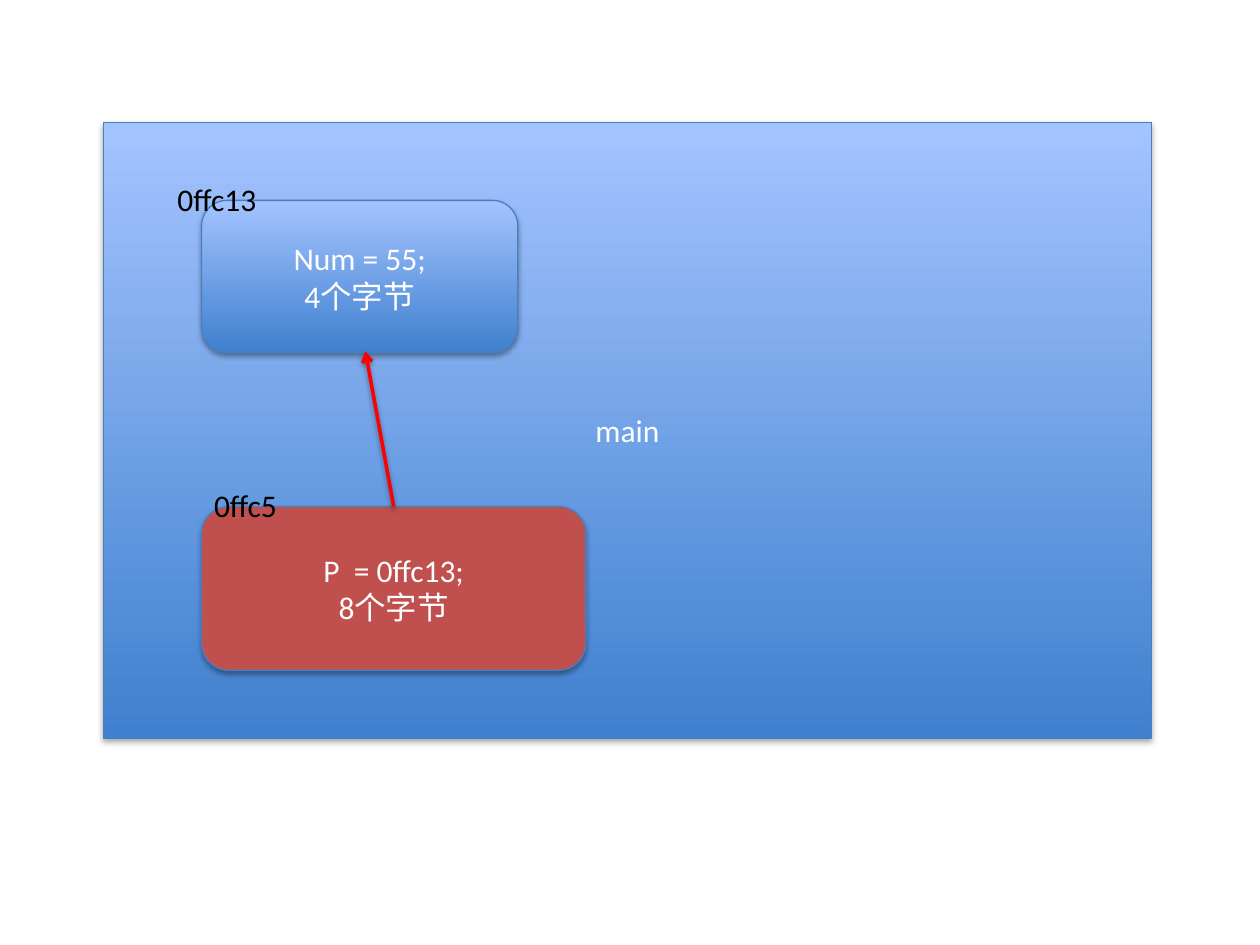
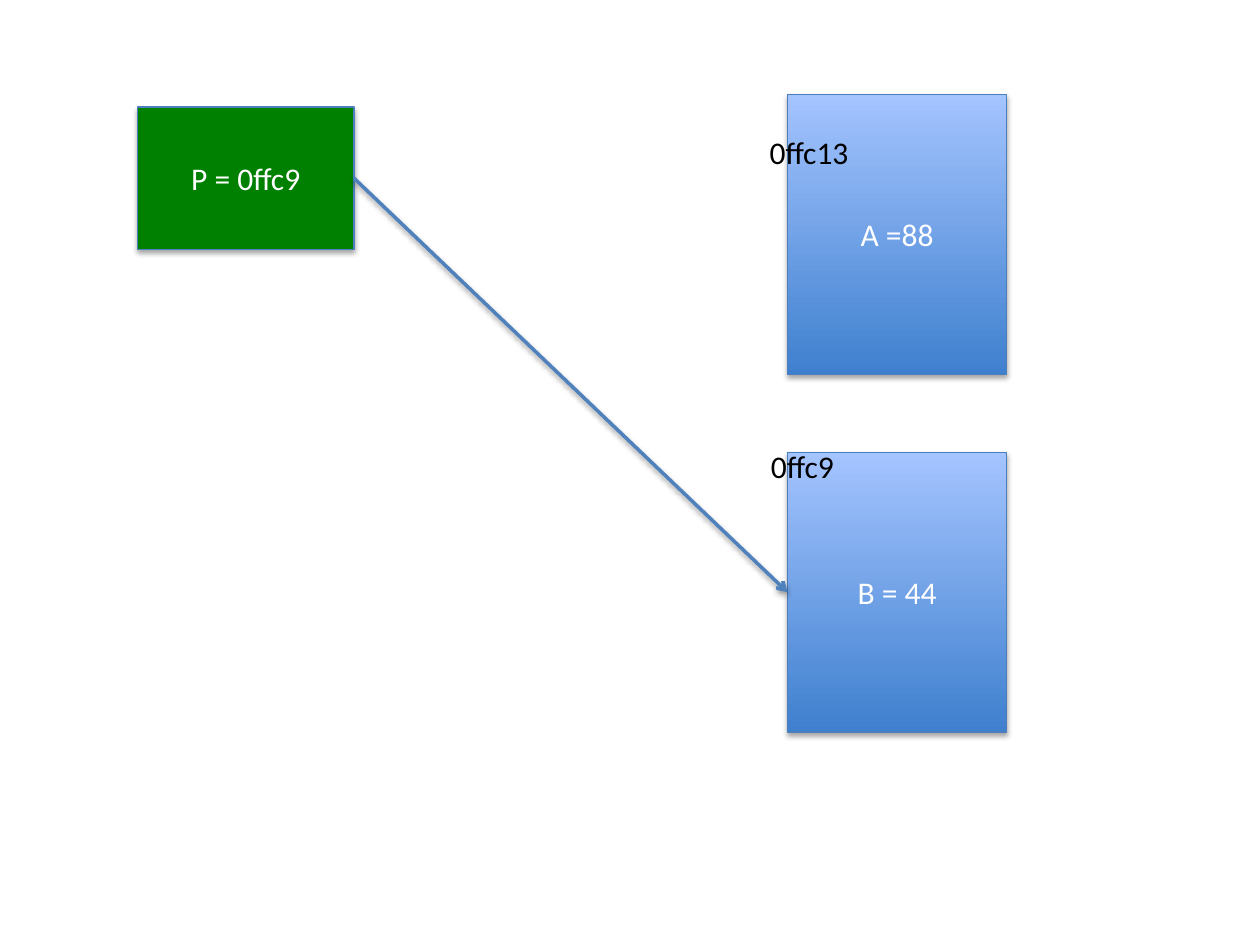
from lxml import etree
from pptx import Presentation, util as u
from pptx.dml.color import RGBColor
from pptx.enum import shapes, text
from pptx.oxml import ns

WIDTH, HEIGHT = u.Inches(10), u.Inches(7.5)
WHITE = RGBColor(0xFF, 0xFF, 0xFF)
BLACK = RGBColor(0, 0, 0)
GRADIENT = (RGBColor(0x3F, 0x80, 0xCE), RGBColor(0xA4, 0xC4, 0xFF))
OUTLINE = RGBColor(0x4B, 0x7E, 0xBC)
ARROW_BLUE = RGBColor(0x4F, 0x81, 0xBD)
POINTER_RED = RGBColor(0xC0, 0x50, 0x4D)
POINTER_GREEN = RGBColor(0, 0x80, 0)
RED = RGBColor(0xFF, 0, 0)
FONT = "Calibri"
TOP, LEFT, RIGHT = 0, 1, 3
MEMORY_CELL = (17.4, 29.6)


def place(x, y):
    """Turn percentages of the slide's width and height into lengths."""
    return round(WIDTH * x / 100), round(HEIGHT * y / 100)


def add_node(parent, tag, **attributes):
    """Append a DrawingML element and return it."""
    node = etree.SubElement(parent, ns.qn(tag))
    for key, value in attributes.items():
        node.set(key, str(value))
    return node


def cast_shadow(element, opacity, distance):
    """Give a shape or connector a soft shadow that falls straight down."""
    effects = add_node(element.spPr, "a:effectLst")
    shadow = add_node(effects, "a:outerShdw", blurRad=u.Pt(3.1),
                      dist=u.Pt(distance), dir=90 * 60000, rotWithShape=0)
    color = add_node(shadow, "a:srgbClr", val=str(BLACK))
    add_node(color, "a:alpha", val=opacity * 1000)


def write(frame, content, color=WHITE, align=text.PP_ALIGN.CENTER, size=18):
    """Write one paragraph for each line of the content."""
    for index, line in enumerate(content.split("\n")):
        paragraph = frame.add_paragraph() if index else frame.paragraphs[0]
        paragraph.alignment = align
        run = paragraph.add_run()
        run.text = line
        run.font.name, run.font.size = FONT, u.Pt(size)
        run.font.color.rgb = color


def add_block(slide, content, corner, size, color=None, rounded=False):
    """Add a memory block, with the blue gradient unless a color is given."""
    kind = shapes.MSO_SHAPE.ROUNDED_RECTANGLE if rounded else shapes.MSO_SHAPE.RECTANGLE
    block = slide.shapes.add_shape(kind, *place(*corner), *place(*size))
    if color is None:
        block.fill.gradient()
        block.fill.gradient_angle = 90
        for stop, shade in zip(block.fill.gradient_stops, GRADIENT):
            stop.color.rgb = shade
    else:
        block.fill.solid()
        block.fill.fore_color.rgb = color
    block.line.color.rgb = OUTLINE
    block.line.width = u.Pt(0.75)
    cast_shadow(block.element, 35, 1.8)
    block.text_frame.vertical_anchor = text.MSO_ANCHOR.MIDDLE
    write(block.text_frame, content)
    return block


def add_address(slide, content, corner, width):
    """Label a block with its memory address."""
    frame = slide.shapes.add_textbox(*place(*corner), *place(width, 5.33)).text_frame
    frame.word_wrap = False
    frame.auto_size = text.MSO_AUTO_SIZE.SHAPE_TO_FIT_TEXT
    write(frame, content, color=BLACK, align=text.PP_ALIGN.LEFT)


def add_pointer(slide, source, side, end, color):
    """Draw an arrow from the middle of a block's side to an end point."""
    arrow = slide.shapes.add_connector(shapes.MSO_CONNECTOR.STRAIGHT, 0, 0, *place(*end))
    arrow.begin_connect(source, side)
    arrow.line.color.rgb = color
    arrow.line.width = u.Pt(2)
    add_node(arrow.line._get_or_add_ln(), "a:tailEnd", type="arrow")
    cast_shadow(arrow.element, 38, 1.6)
    return arrow


def build_main_memory(slide):
    """Show a pointer and its number inside main."""
    add_block(slide, "main", (8.2, 12.93), (83.2, 65.2))
    add_block(slide, "Num = 55;\n4个字节", (16, 21.2), (25.1, 16.13), rounded=True)
    add_address(slide, "0ffc13", (13.1, 18.4), 8.4)
    pointer = add_block(slide, "P  = 0ffc13;\n8个字节", (16, 53.6), (30.5, 17.33),
                        color=POINTER_RED, rounded=True)
    add_address(slide, "0ffc5", (16, 50.8), 7.1)
    add_pointer(slide, pointer, TOP, (29, 37.2), RED)


def build_pointer_target(slide):
    """Show a pointer that refers to the second of two variables."""
    add_block(slide, "A =88", (62.5, 10), MEMORY_CELL)
    add_address(slide, "0ffc13", (60.1, 13.47), 8.4)
    pointer = add_block(slide, "P = 0ffc9", (10.9, 11.33), (17.2, 15.07),
                        color=POINTER_GREEN)
    target = add_block(slide, "B = 44", (62.5, 47.87), MEMORY_CELL)
    add_address(slide, "0ffc9", (60.2, 46.67), 7.1)
    arrow = add_pointer(slide, pointer, RIGHT, (62.5, 62.67), ARROW_BLUE)
    arrow.end_connect(target, LEFT)


def main():
    """Build and save the presentation."""
    deck = Presentation()
    deck.slide_width, deck.slide_height = WIDTH, HEIGHT
    blank = deck.slide_layouts[6]
    for build in (build_main_memory, build_pointer_target):
        build(deck.slides.add_slide(blank))
    deck.save("out.pptx")


if __name__ == "__main__":
    main()
